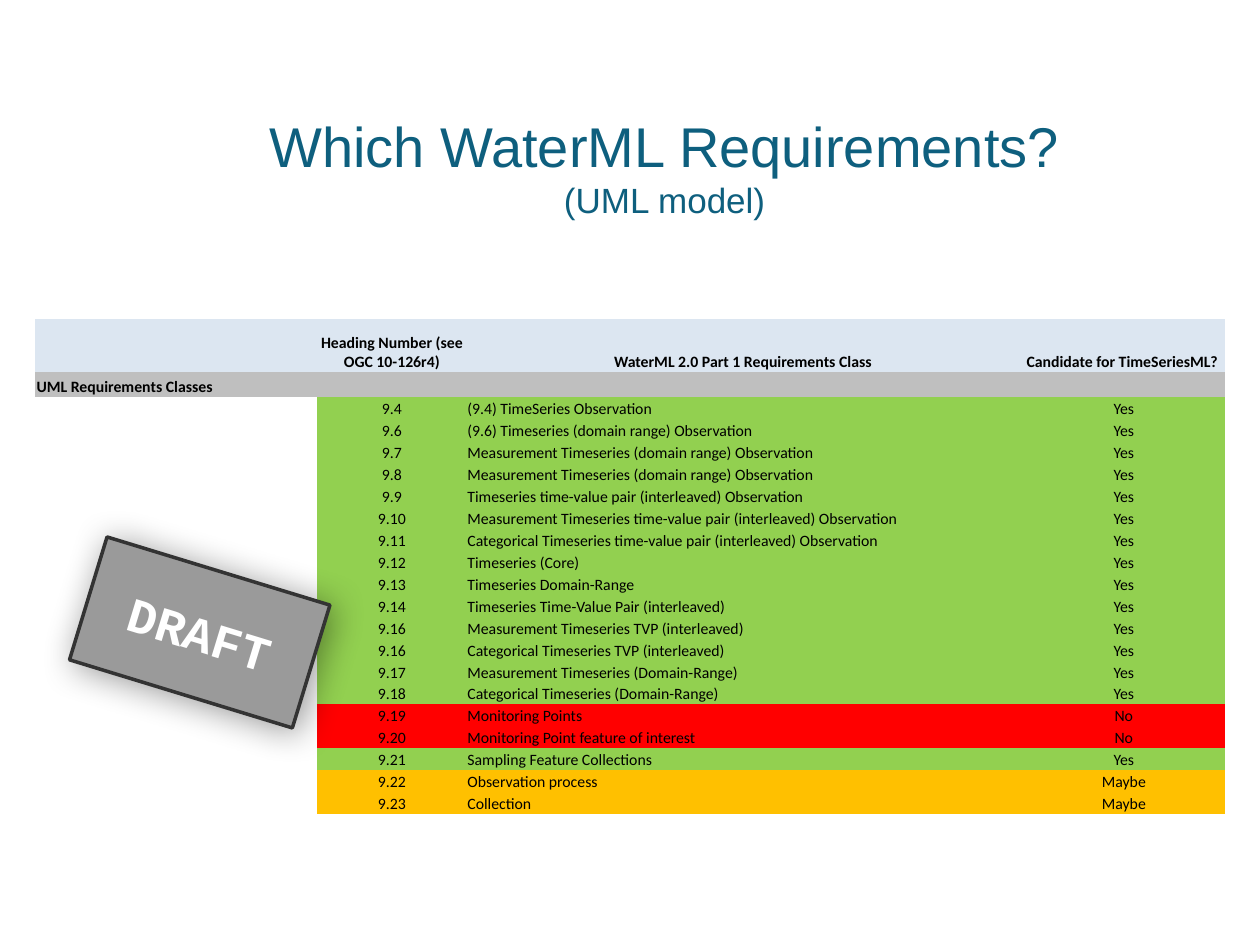
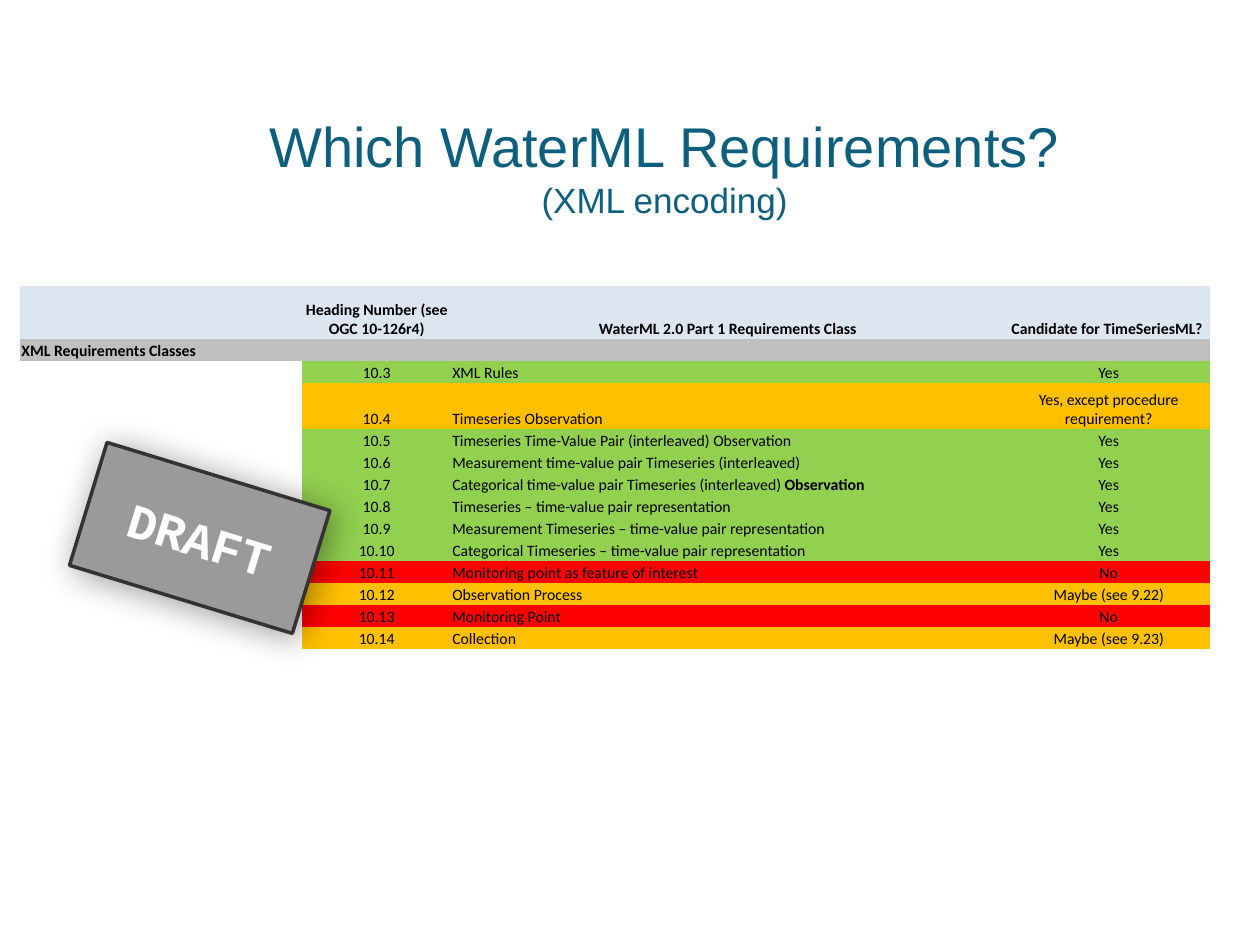
import dataclasses

import pptx
import pptx.dml.color
import pptx.enum.shapes
import pptx.enum.text
import pptx.oxml.ns
import pptx.util
from lxml import etree

ALIGN = pptx.enum.text.PP_ALIGN
ANCHOR = pptx.enum.text.MSO_ANCHOR
SLIDE_W, SLIDE_H = pptx.util.Inches(10), pptx.util.Inches(7.5)
NO_STYLE_NO_GRID = "{2D5ABB26-0587-4C30-8999-92F81FD0307C}"


@dataclasses.dataclass(frozen=True)
class Theme:
    title: str = "0E5F7E"
    ink: str = "000000"
    header: str = "DCE6F1"
    section: str = "BFBFBF"
    yes: str = "92D050"
    no: str = "FF0000"
    maybe: str = "FFC000"
    stamp: str = "9A9A9A"
    stamp_edge: str = "333333"
    stamp_text: str = "FFFFFF"
    title_font: str = "Arial"
    table_font: str = "Calibri"
    stamp_font: str = "Courier New"
    title_size: int = 32
    subtitle_size: int = 20
    table_size: int = 9
    stamp_size: int = 28


THEME = Theme()
ANSWER_FILLS = {"Yes": THEME.yes, "No": THEME.no}

# Percentages of the slide's width (columns) and height (rows)
COLUMNS = (22.4, 11.8, 44.2, 16)
COLUMN_ALIGN = (ALIGN.LEFT, ALIGN.CENTER, ALIGN.LEFT, ALIGN.CENTER)
HEADER_ROW, SECTION_ROW, ROW, TWO_LINE_ROW = 5.6, 2.64, 2.33, 4.87

HEADINGS = ("", "Heading Number (see OGC 10-126r4)",
            "WaterML 2.0 Part 1 Requirements Class ", "Candidate for TimeSeriesML? ")

UML_CLASSES = (
    ("9.4", "(9.4) TimeSeries Observation", "Yes"),
    ("9.6", "(9.6) Timeseries (domain range) Observation", "Yes"),
    ("9.7", "Measurement Timeseries (domain range) Observation", "Yes"),
    ("9.8", "Measurement Timeseries (domain range) Observation", "Yes"),
    ("9.9", "Timeseries time-value pair (interleaved) Observation", "Yes"),
    ("9.10", "Measurement Timeseries time-value pair (interleaved) Observation", "Yes"),
    ("9.11", "Categorical Timeseries time-value pair (interleaved) Observation", "Yes"),
    ("9.12", "Timeseries (Core)", "Yes"),
    ("9.13", "Timeseries Domain-Range", "Yes"),
    ("9.14", "Timeseries Time-Value Pair (interleaved)", "Yes"),
    ("9.16", "Measurement Timeseries TVP (interleaved)", "Yes"),
    ("9.16", "Categorical Timeseries TVP (interleaved)", "Yes"),
    ("9.17", "Measurement Timeseries (Domain-Range)", "Yes"),
    ("9.18", "Categorical Timeseries (Domain-Range)", "Yes"),
    ("9.19", "Monitoring Points", "No"),
    ("9.20", "Monitoring Point feature of interest", "No"),
    ("9.21", "Sampling Feature Collections", "Yes"),
    ("9.22", "Observation process", "Maybe"),
    ("9.23", "Collection", "Maybe"),
)

# A tuple as class name holds a regular part and a bold part
XML_CLASSES = (
    ("10.3", "XML Rules", "Yes"),
    ("10.4", "Timeseries Observation", "Yes, except procedure requirement?"),
    ("10.5", "Timeseries Time-Value Pair (interleaved) Observation", "Yes"),
    ("10.6", "Measurement time-value pair Timeseries (interleaved)", "Yes"),
    ("10.7", ("Categorical time-value pair Timeseries (interleaved) ", "Observation"), "Yes"),
    ("10.8", "Timeseries – time-value pair representation", "Yes"),
    ("10.9", "Measurement Timeseries – time-value pair representation", "Yes"),
    ("10.10", "Categorical Timeseries – time-value pair representation", "Yes"),
    ("10.11", "Monitoring point as feature of interest", "No"),
    ("10.12", "Observation Process", "Maybe (see 9.22)"),
    ("10.13", "Monitoring Point", "No"),
    ("10.14", "Collection", "Maybe (see 9.23)"),
)


def across(percent):
    return round(SLIDE_W * percent / 100)


def down(percent):
    return round(SLIDE_H * percent / 100)


def rgb(color):
    return pptx.dml.color.RGBColor.from_string(color)


def set_attributes(obj, values):
    for name, value in values.items():
        setattr(obj, name, value)


def add_run(p, text, size, font, color, bold=False):
    r = p.add_run()
    r.text = text
    set_attributes(r.font, {"size": pptx.util.Pt(size), "name": font, "bold": bold})
    r.font.color.rgb = rgb(color)


def add_title(slide, subtitle):
    sp = slide.shapes.title
    set_attributes(sp, {"left": across(5.5), "top": down(9.2),
                        "width": across(94.5), "height": down(16.67)})
    tf = sp.text_frame
    set_attributes(tf, {"word_wrap": True, "vertical_anchor": ANCHOR.MIDDLE,
                        "auto_size": pptx.enum.text.MSO_AUTO_SIZE.NONE})
    p = tf.paragraphs[0]
    p.alignment = ALIGN.CENTER
    add_run(p, "Which WaterML Requirements?", THEME.title_size, THEME.title_font, THEME.title)
    p.add_line_break()
    # The break needs its own size, or it takes the placeholder's larger one
    etree.SubElement(p._p[-1], pptx.oxml.ns.qn("a:rPr"), sz=str(THEME.title_size * 100))
    add_run(p, subtitle, THEME.subtitle_size, THEME.title_font, THEME.title)


def fill_cell(cell, text, align, color, bold):
    inset = pptx.util.Inches(0.01)
    set_attributes(cell, {"margin_left": inset, "margin_right": inset, "margin_top": inset,
                          "margin_bottom": 0, "vertical_anchor": ANCHOR.BOTTOM})
    if color:
        cell.fill.solid()
        cell.fill.fore_color.rgb = rgb(color)
    else:
        cell.fill.background()
    p = cell.text_frame.paragraphs[0]
    p.alignment = align
    if not text:
        # Keeps an empty cell from stretching its row
        p._p.get_or_add_endParaRPr().set("sz", str(THEME.table_size * 100))
        return
    parts = (text,) if isinstance(text, str) else text
    for i, part in enumerate(parts):
        add_run(p, part, THEME.table_size, THEME.table_font, THEME.ink, bold or i > 0)


def header_row():
    return HEADER_ROW, HEADINGS, (THEME.header,) * 4, True


def section_row(name, height):
    return height, (name, "", "", ""), (THEME.section,) * 4, True


def class_row(number, name, answer):
    """One requirements class, coloured by its answer."""
    color = ANSWER_FILLS.get(answer, THEME.maybe)
    height = TWO_LINE_ROW if len(answer) > 20 else ROW
    return height, ("", number, name, answer), (None,) + (color,) * 3, False


def add_requirements_table(slide, left, top, rows):
    """Each row is (height, texts, fills, bold)."""
    height = sum(row[0] for row in rows)
    frame = slide.shapes.add_table(len(rows), len(COLUMNS), across(left), down(top),
                                   across(sum(COLUMNS)), down(height))
    table = frame.table
    set_attributes(table, {"first_row": False, "horz_banding": False})
    table._tbl.tblPr.find(pptx.oxml.ns.qn("a:tableStyleId")).text = NO_STYLE_NO_GRID
    for column, width in zip(table.columns, COLUMNS):
        column.width = across(width)
    for i, (row_height, texts, fills, bold) in enumerate(rows):
        table.rows[i].height = down(row_height)
        for j, (text, color) in enumerate(zip(texts, fills)):
            align = ALIGN.CENTER if texts is HEADINGS else COLUMN_ALIGN[j]
            fill_cell(table.cell(i, j), text, align, color, bold)


def add_soft_shadow(sp):
    qn = pptx.oxml.ns.qn
    sp.shadow.inherit = False
    effects = sp._element.spPr.find(qn("a:effectLst"))
    shadow = etree.SubElement(effects, qn("a:outerShdw"), blurRad=str(pptx.util.Pt(20)),
                              dist=str(pptx.util.Pt(3)), dir=str(45 * 60000), rotWithShape="0")
    color = etree.SubElement(shadow, qn("a:srgbClr"), val=THEME.ink)
    etree.SubElement(color, qn("a:alpha"), val="40000")


def add_draft_stamp(slide, top):
    sp = slide.shapes.add_shape(pptx.enum.shapes.MSO_SHAPE.RECTANGLE, across(6.6), down(top),
                                across(18.5), down(13.6))
    sp.rotation = 17
    sp.fill.solid()
    sp.fill.fore_color.rgb = rgb(THEME.stamp)
    sp.line.color.rgb = rgb(THEME.stamp_edge)
    sp.line.width = pptx.util.Pt(2)
    add_soft_shadow(sp)
    tf = sp.text_frame
    tf.vertical_anchor = ANCHOR.MIDDLE
    p = tf.paragraphs[0]
    p.alignment = ALIGN.CENTER
    add_run(p, "DRAFT", THEME.stamp_size, THEME.stamp_font, THEME.stamp_text, bold=True)


def add_titled_slide(prs, subtitle):
    slide = prs.slides.add_slide(prs.slide_layouts.get_by_name("Title Only"))
    add_title(slide, subtitle)
    return slide


def main():
    prs = pptx.Presentation()
    set_attributes(prs, {"slide_width": SLIDE_W, "slide_height": SLIDE_H})

    slide = add_titled_slide(prs, "(UML model)")
    uml_rows = [class_row(*entry) for entry in UML_CLASSES]
    section = section_row("UML Requirements Classes", SECTION_ROW)
    add_requirements_table(slide, 2.8, 33.73, [header_row(), section] + uml_rows)
    add_draft_stamp(slide, 60.13)

    slide = add_titled_slide(prs, "(XML encoding)")
    xml_rows = [class_row(*entry) for entry in XML_CLASSES]
    section = section_row("XML Requirements Classes", ROW)
    left, top = 1.6, 30.27
    add_requirements_table(slide, left, top + HEADER_ROW, [section] + xml_rows)
    add_requirements_table(slide, left, top, [header_row()])
    add_draft_stamp(slide, 50.13)

    prs.save("out.pptx")


if __name__ == "__main__":
    main()
